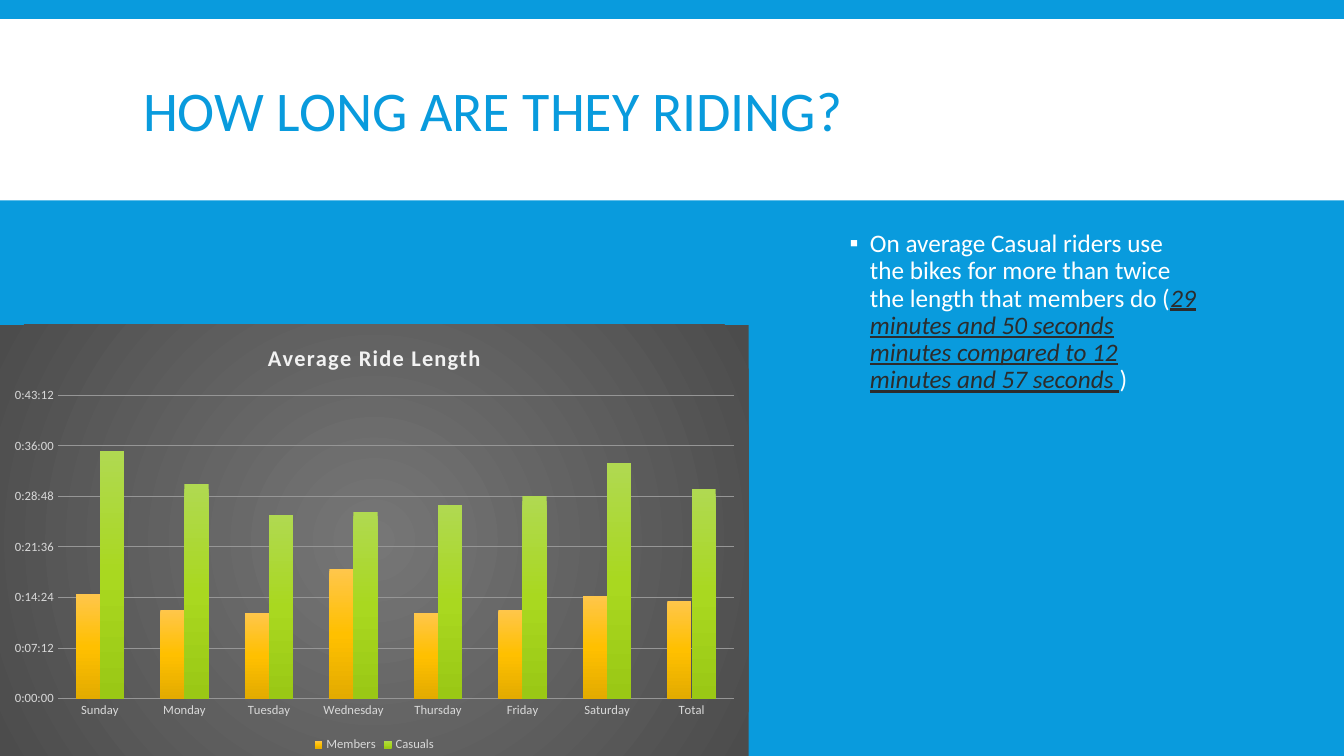
from pptx import Presentation
from pptx.chart.data import CategoryChartData
from pptx.dml.color import RGBColor
from pptx.enum.chart import XL_CHART_TYPE as ChartType, XL_LEGEND_POSITION as LegendPosition, XL_TICK_MARK as TickMark
from pptx.enum.shapes import MSO_SHAPE as Shape
from pptx.enum.text import MSO_ANCHOR as Anchor, MSO_AUTO_SIZE as AutoSize, PP_ALIGN as Align
from pptx.oxml import parse_xml
from pptx.oxml.ns import nsdecls
from pptx.util import Cm, Pt

FONT = "Calibri"
BLUE = RGBColor(0x09, 0x9B, 0xDD)
WHITE = RGBColor(0xFF, 0xFF, 0xFF)
INK = RGBColor(0x2C, 0x2C, 0x2C)
HEADING = RGBColor(0xF2, 0xF2, 0xF2)
LABEL = RGBColor(0xD9, 0xD9, 0xD9)
GRID = RGBColor(0x96, 0x96, 0x96)
PANEL_STOPS = [(0, RGBColor(0x76, 0x76, 0x76)), (100, RGBColor(0x4C, 0x4C, 0x4C))]
AMBER_STOPS = [(0, RGBColor(0xFF, 0xC6, 0x4B)), (50, RGBColor(0xFF, 0xC0, 0x00)),
               (100, RGBColor(0xE3, 0xAB, 0x00))]
LIME_STOPS = [(0, RGBColor(0xB0, 0xD9, 0x51)), (50, RGBColor(0xA9, 0xD8, 0x20)),
              (100, RGBColor(0x9A, 0xC8, 0x15))]
DOWNWARD = '<a:lin ang="5400000" scaled="0"/>'
RADIAL = '<a:path path="circle"><a:fillToRect l="50000" t="50000" r="50000" b="50000"/></a:path>'

DAYS = ["Sunday", "Monday", "Tuesday", "Wednesday", "Thursday", "Friday", "Saturday", "Total"]
RIDE_LENGTHS = {
    "Members": [0.0103, 0.0088, 0.0085, 0.0128, 0.0085, 0.0088, 0.0102, 0.0097],
    "Casuals": [0.0245, 0.0212, 0.0182, 0.0185, 0.0192, 0.02, 0.0233, 0.0207],
}
FINDING = [
    ("On average Casual riders use the bikes for more than twice the length that members do (", False),
    ("29 minutes and 50 seconds minutes compared to 12 minutes and 57 seconds ", True),
    (")", False),
]


def style_font(font, size, color):
    """Apply the slide typeface with a size and colour."""
    font.name, font.size = FONT, Pt(size)
    font.color.rgb = color


def place(shape, left, top, width, height):
    """Move and size a shape, in centimetres."""
    shape.left, shape.top, shape.width, shape.height = map(Cm, (left, top, width, height))


def gradient(stops, direction):
    """Build a gradient fill element."""
    marks = "".join(f'<a:gs pos="{position * 1000}"><a:srgbClr val="{color}"/></a:gs>'
                    for position, color in stops)
    return parse_xml(f'<a:gradFill {nsdecls("a")}><a:gsLst>{marks}</a:gsLst>{direction}</a:gradFill>')


def add_title(slide):
    """Write the heading over a white band."""
    title = slide.shapes.title
    band = slide.shapes.add_shape(Shape.RECTANGLE, Cm(0), Cm(0.48), Cm(33.87), Cm(4.57))
    band.shadow.inherit = False
    band.fill.solid()
    band.fill.fore_color.rgb = WHITE
    band.line.fill.background()
    title.element.addprevious(band.element)

    place(title, 3.35, 0.79, 27.18, 4.19)
    frame = title.text_frame
    frame.text = "HOW LONG ARE THEY RIDING?"
    frame.auto_size = AutoSize.NONE
    frame.vertical_anchor = Anchor.MIDDLE
    heading = frame.paragraphs[0]
    heading.alignment = Align.LEFT
    heading.line_spacing = 0.85
    style_font(heading.runs[0].font, 40, BLUE)


def add_finding(slide):
    """Write the bulleted finding with its stressed phrase."""
    body = slide.placeholders[1]
    place(body, 21.16, 5.69, 9.35, 11.58)
    body.text_frame.auto_size = AutoSize.NONE
    finding = body.text_frame.paragraphs[0]
    finding.line_spacing = 0.9
    finding.space_before, finding.space_after = Pt(12), Pt(2)
    for wording, stressed in FINDING:
        run = finding.add_run()
        run.text = wording
        style_font(run.font, 18, INK if stressed else WHITE)
        run.font.italic = run.font.underline = stressed
    properties = finding._p.get_or_add_pPr()
    properties.set("marL", str(Cm(0.51)))
    properties.set("indent", str(-Cm(0.51)))
    for bullet in (f'<a:buClr {nsdecls("a")}><a:srgbClr val="{WHITE}"/></a:buClr>',
                   f'<a:buChar {nsdecls("a")} char="▪"/>'):
        properties.append(parse_xml(bullet))


def style_axis(axis):
    """Give an axis pale labels without line or ticks."""
    axis.major_tick_mark = axis.minor_tick_mark = TickMark.NONE
    axis.format.line.fill.background()
    style_font(axis.tick_labels.font, 9, LABEL)


def add_ride_chart(slide):
    """Chart the average ride length by day."""
    ride_data = CategoryChartData(number_format="[h]:mm:ss;@")
    ride_data.categories = DAYS
    for rider, lengths in RIDE_LENGTHS.items():
        ride_data.add_series(rider, lengths)
    chart = slide.shapes.add_chart(ChartType.COLUMN_CLUSTERED, Cm(0), Cm(8.18),
                                   Cm(18.87), Cm(10.87), ride_data).chart
    style_font(chart.font, 10, WHITE)
    panel = parse_xml(f'<c:spPr {nsdecls("c", "a")}><a:ln><a:noFill/></a:ln></c:spPr>')
    panel.insert(0, gradient(PANEL_STOPS, RADIAL))
    chart.font._element.getparent().getparent().getparent().addprevious(panel)

    heading = chart.chart_title.text_frame.paragraphs[0]
    heading.text = "Average Ride Length"
    heading_font = heading.runs[0].font
    style_font(heading_font, 16, HEADING)
    heading_font.bold = True
    heading_font._element.set("spc", "100")

    chart.has_legend = True
    chart.legend.position = LegendPosition.BOTTOM
    chart.legend.include_in_layout = False
    style_font(chart.legend.font, 9, LABEL)

    style_axis(chart.category_axis)
    length_axis = chart.value_axis
    style_axis(length_axis)
    length_axis.minimum_scale, length_axis.maximum_scale = 0, 0.03
    length_axis.major_unit = 0.005
    length_axis.tick_labels.number_format = "[h]:mm:ss;@"
    length_axis.tick_labels.number_format_is_linked = False
    length_axis.major_gridlines.format.line.color.rgb = GRID
    length_axis.major_gridlines.format.line.width = Pt(0.75)

    columns = chart.plots[0]
    columns.gap_width, columns.overlap = 150, 0
    columns.vary_by_categories = False
    for rider, stops in zip(columns.series, (AMBER_STOPS, LIME_STOPS)):
        rider.format.line.fill.background()
        rider._element.get_or_add_spPr().insert(0, gradient(stops, DOWNWARD))


def main():
    """Build and save the slide."""
    deck = Presentation()
    deck.slide_width, deck.slide_height = Cm(33.87), Cm(19.05)
    slide = deck.slides.add_slide(deck.slide_layouts[1])
    slide.background.fill.solid()
    slide.background.fill.fore_color.rgb = BLUE
    add_title(slide)
    add_finding(slide)
    add_ride_chart(slide)
    deck.save("out.pptx")


if __name__ == "__main__":
    main()
